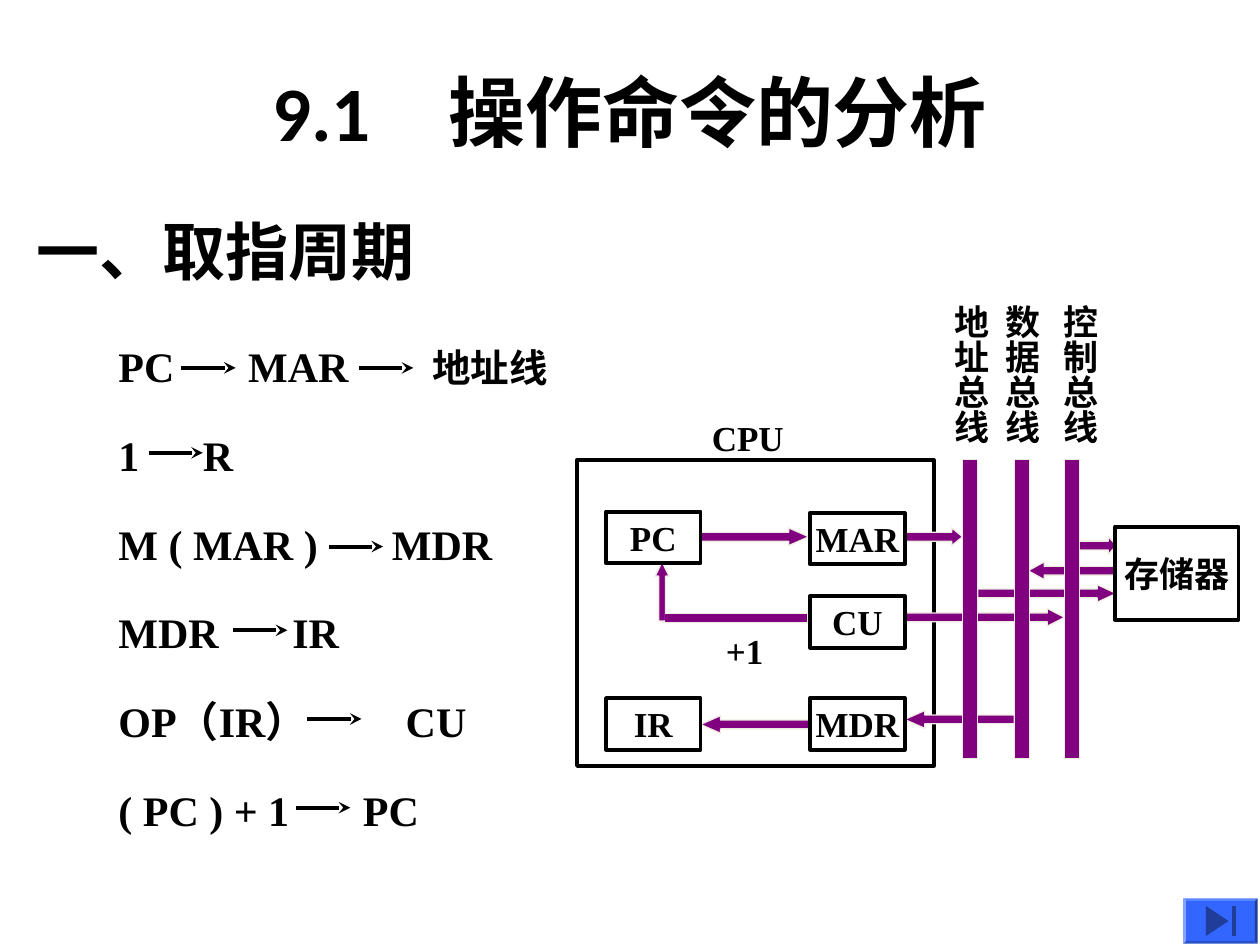
"""Build the slide on the fetch cycle: micro-operation steps beside a CPU and bus diagram."""
from lxml import etree
from pptx import Presentation
from pptx.dml.color import RGBColor
from pptx.enum.shapes import MSO_CONNECTOR, MSO_SHAPE
from pptx.enum.text import MSO_ANCHOR, PP_ALIGN
from pptx.oxml.ns import qn
from pptx.util import Inches, Pt

RECTANGLE = MSO_SHAPE.RECTANGLE
RIGHT, LEFT, UP = MSO_SHAPE.RIGHT_ARROW, MSO_SHAPE.LEFT_ARROW, MSO_SHAPE.UP_ARROW
BEVEL = MSO_SHAPE.BEVEL
STRAIGHT = MSO_CONNECTOR.STRAIGHT
TOP, MIDDLE = MSO_ANCHOR.TOP, MSO_ANCHOR.MIDDLE
ALIGN_LEFT, ALIGN_CENTER = PP_ALIGN.LEFT, PP_ALIGN.CENTER

BLACK, PURPLE, PALE = "000000", "800080", "EEECE1"
BLUE, DARK_BLUE = "3366FF", "1F3D99"
SERIF, SANS = "Times New Roman", "Calibri"

TITLE = "9.1　操作命令的分析"
HEADING = "一、取指周期"

STEP_LEFT, STEP_TOP, STEP_PITCH = 0.94, 2.67, 0.704
STEP_ARROW_LENGTH = 0.43
# noqa
STEPS = [
    {"runs": [("PC\tMAR\t", 24), ("地址线", 22)], "tabs": [1.03, 2.49],
     "arrows": [1.44, 2.85], "drop": 0.25},
    {"runs": [("1\tR", 24)], "tabs": [0.67], "arrows": [1.18], "drop": 0.22},
    {"runs": [("M ( MAR )\tMDR", 24)], "tabs": [2.17], "arrows": [2.61], "drop": 0.26},
    {"runs": [("MDR\tIR", 24)], "tabs": [1.38], "arrows": [1.85], "drop": 0.22},
    {"runs": [("OP（IR）\tCU", 24)], "tabs": [2.28], "arrows": [2.44], "drop": 0.22},
    {"runs": [("( PC ) + 1\tPC", 24)], "tabs": [1.94], "arrows": [2.35], "drop": 0.22},
]

CPU_FRAME = (4.58, 3.65, 2.83, 2.43)
UNITS = [
    ("PC", (4.81, 4.06, 0.75, 0.41)),
    ("MAR", (6.43, 4.07, 0.75, 0.41)),
    ("CU", (6.43, 4.73, 0.75, 0.41)),
    ("IR", (4.81, 5.54, 0.75, 0.41)),
    ("MDR", (6.43, 5.54, 0.75, 0.41)),
    ("存储器", (8.85, 4.18, 0.98, 0.74)),
]
LABELS = [("CPU", (5.55, 3.25, 0.77, 0.44)), ("+1", (5.66, 4.94, 0.5, 0.44))]

SIGNAL_HEIGHT = 0.14
SIGNALS = [
    (RIGHT, 7.18, 4.19, 0.46, 0.61),
    (RIGHT, 5.56, 4.19, 0.86, 1.14),
    (LEFT, 7.18, 5.64, 0.87, 1.14),
    (RIGHT, 7.18, 4.83, 1.27, 0.98),
    (RIGHT, 7.76, 4.64, 1.1, 1.08),
    (LEFT, 8.16, 4.46, 0.69, 0.91),
    (RIGHT, 8.51, 4.26, 0.35, 0.45),
    (LEFT, 5.56, 5.68, 0.86, 1.14),
]
INCREMENT_BAR = (5.26, 4.87, 1.15, 0.07)
INCREMENT_ARROW = (5.2, 4.46, 0.11, 0.47)
INCREMENT_CORNER = (5.28, 4.88, 0.03, 0.05)

BUS_TOP, BUS_WIDTH, BUS_HEIGHT = 3.65, 0.12, 2.37
BUSES = [("地址总线", 7.64, 7.34), ("数据总线", 8.05, 7.75), ("控制总线", 8.45, 8.21)]

BUTTON = (9.39, 7.13, 0.59, 0.36)
BUTTON_ICON = [
    [(9.57, 7.19), (9.75, 7.31), (9.57, 7.43)],
    [(9.78, 7.19), (9.81, 7.19), (9.81, 7.43), (9.78, 7.43)],
]


def color(value):
    return RGBColor.from_string(value)


def paint(shape, fill=None, line=None, width=0.75):
    shape.shadow.inherit = False
    if fill:
        shape.fill.solid()
        shape.fill.fore_color.rgb = color(fill)
    else:
        shape.fill.background()
    if line:
        shape.line.color.rgb = color(line)
        shape.line.width = Pt(width)
    else:
        shape.line.fill.background()


def add_block(slide, kind, box, adjustments=(), **style):
    shape = slide.shapes.add_shape(kind, *map(Inches, box))
    for index, value in enumerate(adjustments):
        shape.adjustments[index] = value
    paint(shape, **style)
    return shape


def write(shape, runs, font=SERIF, align=ALIGN_LEFT, anchor=MIDDLE, tabs=()):
    frame = shape.text_frame
    settings = {"word_wrap": True, "vertical_anchor": anchor, "margin_left": 0,
                "margin_right": 0, "margin_top": 0, "margin_bottom": 0}
    for name, value in settings.items():
        setattr(frame, name, value)
    paragraph = frame.paragraphs[0]
    paragraph.alignment = align
    if tabs:
        tab_list = etree.SubElement(paragraph._p.get_or_add_pPr(), qn("a:tabLst"))
        for position in tabs:
            etree.SubElement(tab_list, qn("a:tab"), pos=str(Inches(position)), algn="l")
    for text, size in runs:
        run = paragraph.add_run()
        run.text = text
        for name, value in {"name": font, "size": Pt(size), "bold": True}.items():
            setattr(run.font, name, value)
        run.font.color.rgb = color(BLACK)


def add_text(slide, box, runs, **style):
    shape = slide.shapes.add_textbox(*map(Inches, box))
    write(shape, runs, **style)
    return shape


def add_step_arrow(slide, left, y):
    ends = (left, y, left + STEP_ARROW_LENGTH, y)
    connector = slide.shapes.add_connector(STRAIGHT, *map(Inches, ends))
    connector.line.color.rgb = color(BLACK)
    connector.line.width = Pt(2.25)
    etree.SubElement(connector.line._get_or_add_ln(), qn("a:tailEnd"), type="stealth")
    etree.SubElement(connector._element.spPr, qn("a:effectLst"))


def add_steps(slide):
    for index, step in enumerate(STEPS):
        top = STEP_TOP + index * STEP_PITCH
        add_text(slide, (STEP_LEFT, top, 4.72, 0.47), step["runs"], tabs=step["tabs"])
        for left in step["arrows"]:
            add_step_arrow(slide, left, top + step["drop"])


def add_diagram(slide):
    purple = {"fill": PURPLE, "line": PALE}
    outline = {"line": BLACK, "width": 2.25}
    add_block(slide, RECTANGLE, CPU_FRAME, **outline)
    add_block(slide, RECTANGLE, INCREMENT_BAR, **purple)
    add_block(slide, UP, INCREMENT_ARROW, (0.5, 1.03), **purple)
    add_block(slide, RECTANGLE, INCREMENT_CORNER, fill=PURPLE, line=PURPLE)
    for kind, left, top, width, head in SIGNALS:
        add_block(slide, kind, (left, top, width, SIGNAL_HEIGHT), (0.5, head), **purple)
    for name, box in UNITS:
        unit = add_block(slide, RECTANGLE, box, **outline)
        write(unit, [(name, 20)], align=ALIGN_CENTER)
    for name, box in LABELS:
        add_text(slide, box, [(name, 20)], align=ALIGN_CENTER)
    for name, left, label_left in BUSES:
        add_block(slide, RECTANGLE, (left, BUS_TOP, BUS_WIDTH, BUS_HEIGHT), **purple)
        label = add_text(slide, (label_left, 2.42, 0.53, 1.22), [(name, 20)],
                         align=ALIGN_CENTER, anchor=TOP)
        label.text_frame._txBody.bodyPr.set("vert", "eaVert")


def add_button(slide):
    add_block(slide, BEVEL, BUTTON, (0.06,), fill=BLUE)
    for points in BUTTON_ICON:
        corners = [(Inches(x), Inches(y)) for x, y in points]
        builder = slide.shapes.build_freeform(*corners[0])
        builder.add_line_segments(corners[1:])
        paint(builder.convert_to_shape(), fill=DARK_BLUE)


def main():
    presentation = Presentation()
    presentation.slide_width, presentation.slide_height = Inches(10), Inches(7.5)
    slide = presentation.slides.add_slide(presentation.slide_layouts[6])
    add_text(slide, (0.75, 0.25, 8.5, 1.25), [(TITLE, 44)], font=SANS, align=ALIGN_CENTER)
    add_text(slide, (0.29, 1.75, 4.46, 0.47), [(HEADING, 36)])
    add_steps(slide)
    add_diagram(slide)
    add_button(slide)
    presentation.save("out.pptx")


if __name__ == "__main__":
    main()
